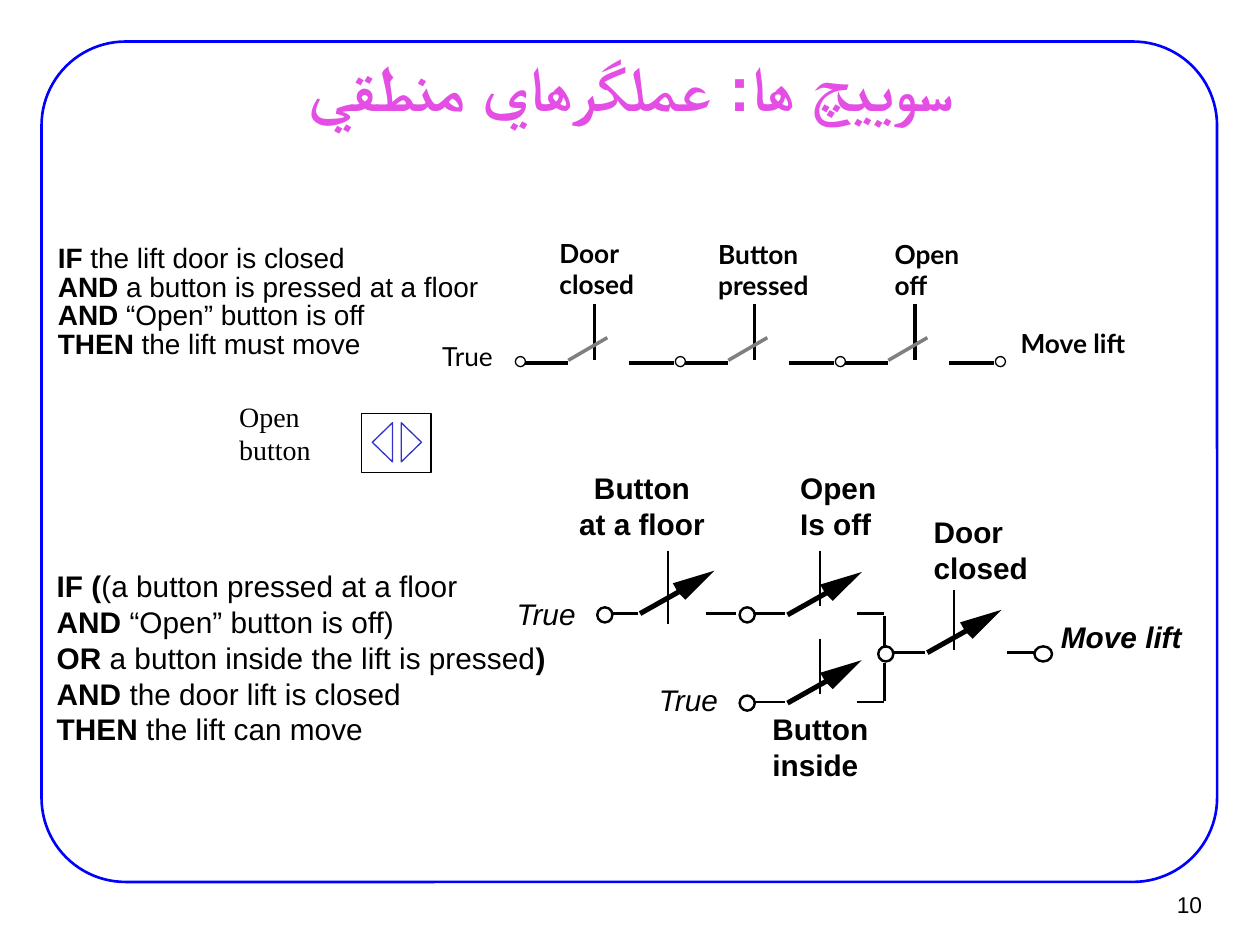
from lxml import etree
from pptx import Presentation
from pptx.dml.color import RGBColor
from pptx.enum import shapes as kinds, text as txt
from pptx.oxml import ns
from pptx.util import Inches, Pt

BLACK = RGBColor(0x00, 0x00, 0x00)
WHITE = RGBColor(0xFF, 0xFF, 0xFF)
GREY = RGBColor(0x7F, 0x7F, 0x7F)
FRAME_BLUE = RGBColor(0x00, 0x00, 0xFF)
ARROW_BLUE = RGBColor(0x33, 0x33, 0xCC)
PINK = RGBColor(0xE4, 0x4E, 0xE4)

HAIRLINE, WIRE, BLADE = 0, 1.38, 2.88

TITLE = "سوييچ ها: عملگرهاي منطقي"
PAGE_NUMBER = "10"

# Double asterisks enclose the bold keywords.
SERIES_RULE = [
    "**IF** the lift door is closed",
    "**AND** a button is pressed at a floor",
    "**AND** “Open” button is off",
    "**THEN** the lift must move",
]
PARALLEL_RULE = [
    "**IF (**(a button pressed at a floor",
    "**AND **“Open” button is off)",
    "**OR** a button inside the lift is pressed**)**",
    "**AND** the door lift is closed",
    "**THEN** the lift can move",
]

# Labels: lines, (left, top, width, height), format
BOLD, ITALIC = {"bold": True}, {"italic": True}
SERIES_LABELS = [
    (["Door", "closed"], (4.44, 1.88, 0.67, 0.51), BOLD),
    (["Button", "pressed"], (5.7, 1.89, 0.81, 0.51), BOLD),
    (["Open", "off"], (7.1, 1.89, 0.54, 0.51), BOLD),
    (["True"], (3.51, 2.7, 0.45, 0.31), {}),
    (["Move lift"], (8.1, 2.6, 0.85, 0.25), BOLD),
]
PARALLEL_LABELS = [
    (["Button", "at a floor"], (4.59, 3.73, 1.01, 0.57),
     {"bold": True, "align": txt.PP_ALIGN.CENTER}),
    (["Open", "Is off"], (6.35, 3.73, 0.61, 0.57), BOLD),
    (["Door", "closed"], (7.41, 4.08, 0.76, 0.57), BOLD),
    (["Button", "inside"], (6.13, 5.64, 0.77, 0.57), BOLD),
    (["True"], (4.1, 4.73, 0.49, 0.28), ITALIC),
    (["True"], (5.23, 5.41, 0.49, 0.28), ITALIC),
    (["Move lift"], (8.42, 4.91, 0.97, 0.29), {"bold": True, "italic": True}),
]

# Series circuit: evenly spaced nodes with one switch after each but the last
SERIES_LEFT, SERIES_PITCH, SERIES_SWITCHES = 4.09, 1.27, 3
SERIES_NODE = 0.08

# Parallel circuit: node left, wire y, blade start, stem x and bottom, tail ends
PARALLEL_SWITCHES = [
    (4.74, 4.87, (5.08, 4.87), (5.3, 4.95), (5.6, 5.84)),
    (5.87, 4.87, (6.25, 4.88), (6.51, 4.81), (6.8, 7.02)),
    (5.87, 5.57, (6.25, 5.58), (6.51, 5.51), (6.8, 7.02)),
    (6.97, 5.18, (7.36, 5.18), (7.57, 5.16), (7.99, 8.22)),
]
PARALLEL_NODE = 0.12
STEM_RISE = 0.5
BLADE_REACH = (0.32, -0.18)
ARROWHEAD = [(0.59, -0.34), (0.36, -0.11), (0.3, -0.17), (0.26, -0.24)]
JOIN_X = 7.02

prs = Presentation()
prs.slide_width, prs.slide_height = Inches(10), Inches(7.5)
slide = prs.slides.add_slide(prs.slide_layouts[5])


def write(frame, lines, size, font="Arial", color=BLACK, bold=False,
          italic=False, align=txt.PP_ALIGN.LEFT, spacing=None, wrap=False,
          insets=(0, 0), anchor=txt.MSO_ANCHOR.TOP, rtl=False):
    frame.word_wrap = wrap
    frame.vertical_anchor = anchor
    frame.margin_left = frame.margin_right = Inches(insets[0])
    frame.margin_top = frame.margin_bottom = Inches(insets[1])
    for number, line in enumerate(lines):
        paragraph = frame.add_paragraph() if number else frame.paragraphs[0]
        paragraph.alignment = align
        if spacing:
            paragraph.line_spacing = spacing
        if rtl:
            paragraph._p.get_or_add_pPr().set("rtl", "1")
        for part, words in enumerate(line.split("**")):
            if not words:
                continue
            run = paragraph.add_run()
            run.text = words
            run.font.name, run.font.size = font, Pt(size)
            run.font.bold, run.font.italic = bold or part % 2 == 1, italic
            run.font.color.rgb = color
            if rtl:
                script_font = etree.SubElement(run._r.get_or_add_rPr(), ns.qn("a:cs"))
                script_font.set("typeface", font)


def add_text(lines, box, size, **style):
    frame = slide.shapes.add_textbox(*map(Inches, box)).text_frame
    write(frame, lines, size, **style)


def paint(shape, fill, line, width):
    shape.shadow.inherit = False
    if fill is None:
        shape.fill.background()
    else:
        shape.fill.solid()
        shape.fill.fore_color.rgb = fill
    if line is None:
        shape.line.fill.background()
    else:
        shape.line.color.rgb = line
        shape.line.width = Pt(width)


def add_shape(kind, box, fill=None, line=BLACK, width=0.75):
    shape = slide.shapes.add_shape(kind, *map(Inches, box))
    paint(shape, fill, line, width)
    return shape


def add_node(left, middle, width, height, weight):
    add_shape(kinds.MSO_SHAPE.OVAL, (left, middle - height / 2, width, height),
              WHITE, BLACK, weight)


def add_line(x1, y1, x2, y2, width, color=BLACK):
    line = slide.shapes.add_connector(kinds.MSO_CONNECTOR.STRAIGHT,
                                      *map(Inches, (x1, y1, x2, y2)))
    line.line.color.rgb = color
    line.line.width = Pt(width)
    etree.SubElement(line._element.spPr, ns.qn("a:effectLst"))


def add_arrowhead(x, y):
    points = [(Inches(x + dx), Inches(y + dy)) for dx, dy in ARROWHEAD]
    builder = slide.shapes.build_freeform(*points[0])
    builder.add_line_segments(points[1:], close=True)
    paint(builder.convert_to_shape(), BLACK, None, 0)


# Frame, title and page number
border = add_shape(kinds.MSO_SHAPE.ROUNDED_RECTANGLE, (0.33, 0.33, 9.33, 6.67),
                   None, FRAME_BLUE, 1.5)
border.adjustments[0] = 0.1
title = slide.shapes.title
title.left, title.top, title.width, title.height = map(Inches, (0.76, 0.44, 8.5, 0.49))
write(title.text_frame, [TITLE], 36, color=PINK, bold=True, wrap=True, rtl=True,
      align=txt.PP_ALIGN.CENTER, insets=(0.11, 0.06), anchor=txt.MSO_ANCHOR.MIDDLE)
add_text([PAGE_NUMBER], (9.02, 6.99, 0.61, 0.37), 13, align=txt.PP_ALIGN.RIGHT,
         insets=(0.09, 0.04), anchor=txt.MSO_ANCHOR.MIDDLE)

# Parallel circuit
add_text(PARALLEL_RULE, (0.45, 4.51, 3.92, 1.43), 17)
for lines, box, style in PARALLEL_LABELS:
    add_text(lines, box, 17, **style)
for left, y, (blade_x, blade_y), (stem_x, stem_bottom), (tail, end) in PARALLEL_SWITCHES:
    add_node(left, y + 0.01, PARALLEL_NODE, PARALLEL_NODE, WIRE)
    add_line(left + PARALLEL_NODE, y, blade_x - 0.02, y, WIRE)
    add_line(tail, y, end, y, WIRE)
    add_line(stem_x, y - STEM_RISE, stem_x, stem_bottom, WIRE)
    add_line(blade_x, blade_y, blade_x + BLADE_REACH[0], blade_y + BLADE_REACH[1], BLADE)
    add_arrowhead(blade_x, blade_y)
for top, bottom in [(4.89, 5.14), (5.26, 5.56)]:
    add_line(JOIN_X, top, JOIN_X, bottom, WIRE)
add_node(8.21, 5.19, 0.14, PARALLEL_NODE, WIRE)

# Series circuit
add_text(SERIES_RULE, (0.46, 1.95, 3.35, 0.91), 16, spacing=0.85)
for lines, box, style in SERIES_LABELS:
    add_text(lines, box, 15, font="Lato", **style)
for i in range(SERIES_SWITCHES + 1):
    left = SERIES_LEFT + i * SERIES_PITCH
    add_node(left, 2.87, SERIES_NODE, SERIES_NODE, HAIRLINE)
    if i < SERIES_SWITCHES:
        add_line(left + SERIES_NODE, 2.88, left + 0.42, 2.88, HAIRLINE)
        add_line(left + 0.9, 2.88, left + 1.26, 2.88, HAIRLINE)
        add_line(left + 0.63, 2.41, left + 0.63, 2.86, HAIRLINE)
        add_line(left + 0.42, 2.86, left + 0.73, 2.68, HAIRLINE, GREY)

# Open button
add_text(["Open button"], (1.8, 3.12, 0.86, 0.64), 16, font="Times New Roman",
         wrap=True, insets=(0.1, 0.05))
add_shape(kinds.MSO_SHAPE.RECTANGLE, (2.87, 3.28, 0.55, 0.47))
for left, turn in [(3.11, 90), (2.88, 270)]:
    arrow = add_shape(kinds.MSO_SHAPE.ISOSCELES_TRIANGLE, (left, 3.43, 0.31, 0.16),
                      None, ARROW_BLUE)
    arrow.rotation = turn

prs.save("out.pptx")
